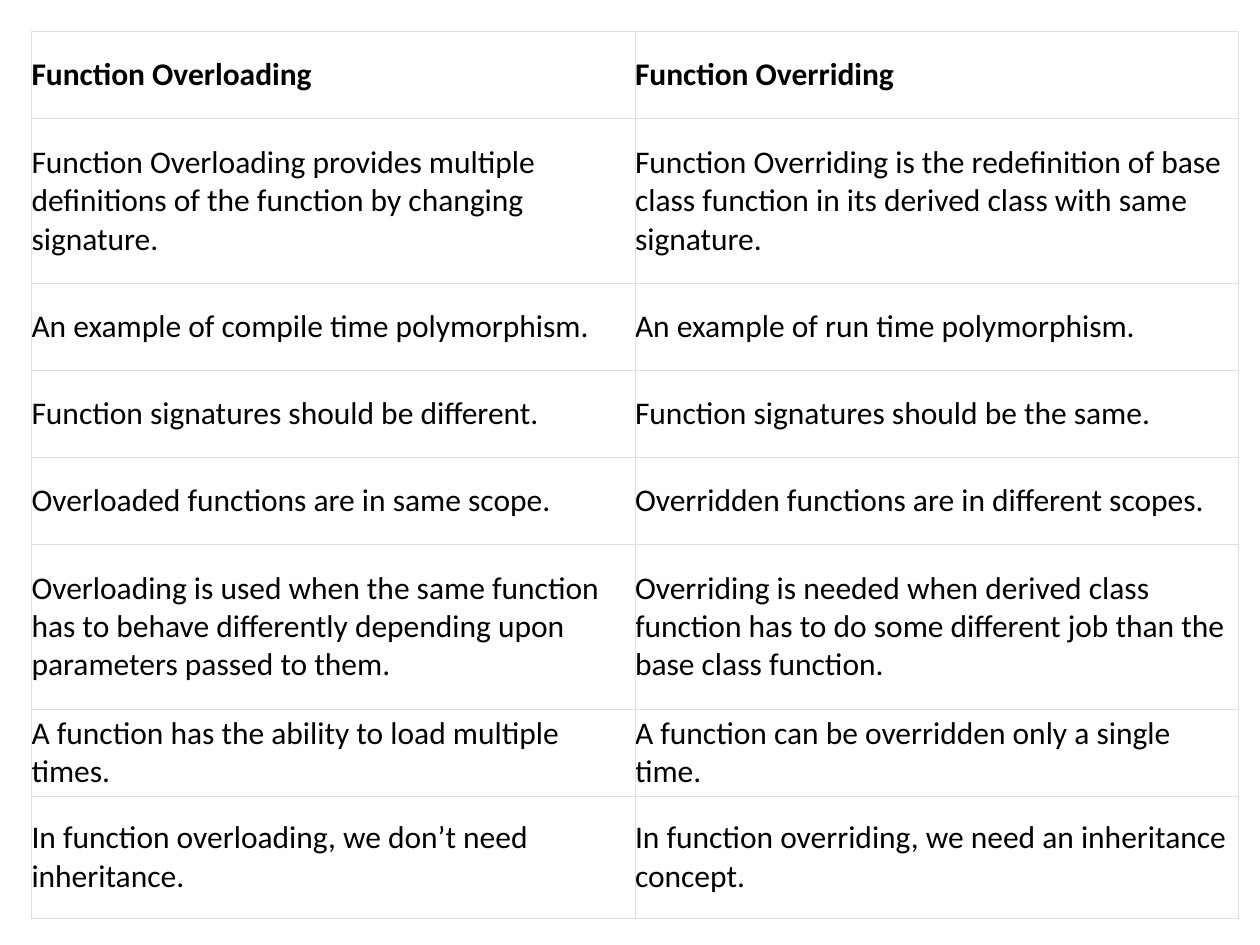
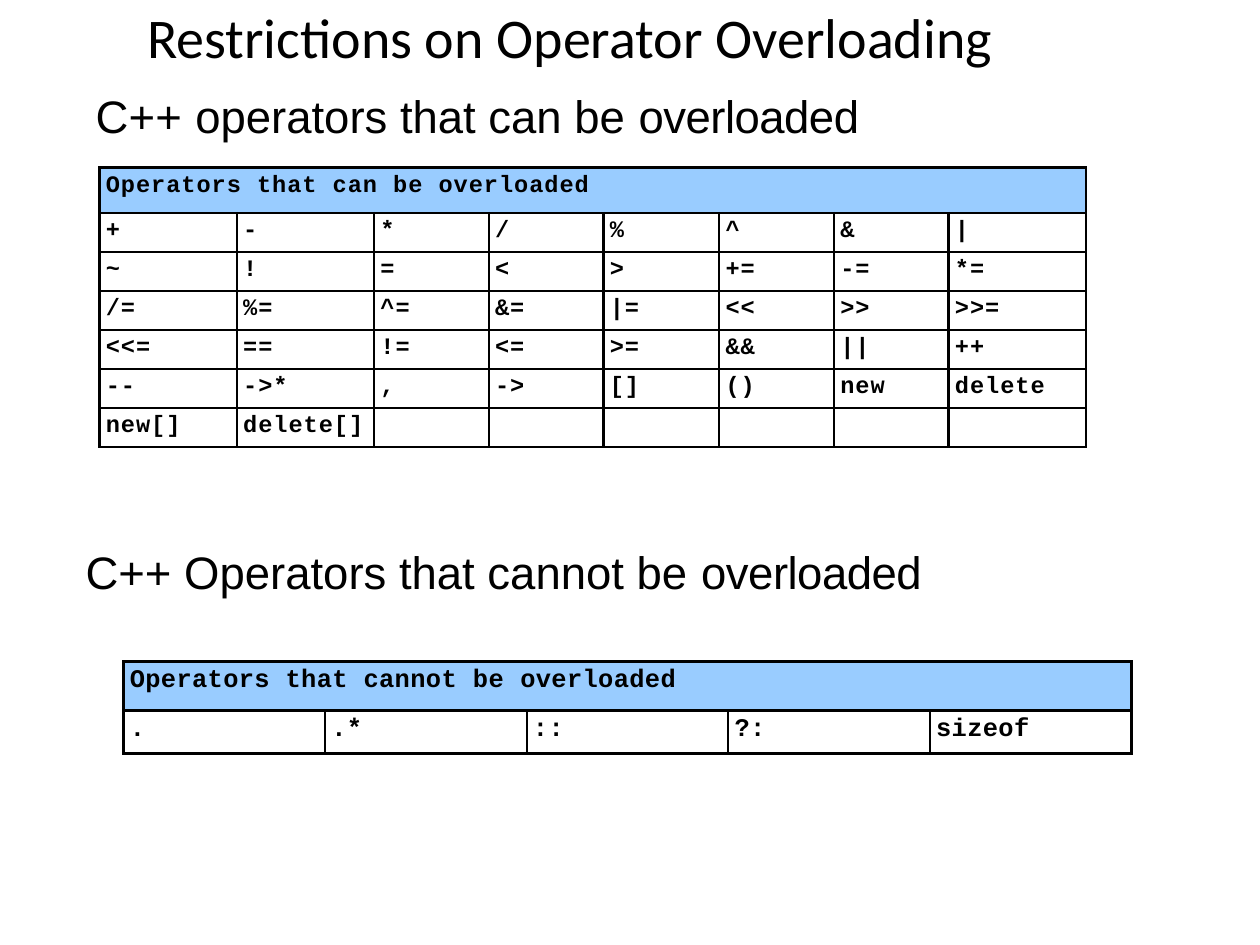
from dataclasses import dataclass
from typing import Any

from lxml.etree import SubElement
from pptx import Presentation
from pptx.dml.color import RGBColor
from pptx.enum.text import MSO_ANCHOR, MSO_AUTO_SIZE, PP_ALIGN
from pptx.oxml.ns import qn
from pptx.slide import Slide
from pptx.util import Emu, Pt

PX = 9144
BLACK = RGBColor(0x00, 0x00, 0x00)
WHITE = RGBColor(0xFF, 0xFF, 0xFF)
HEADER_BLUE = RGBColor(0x99, 0xCC, 0xFF)
GRID_GRAY = RGBColor(0xDF, 0xDF, 0xDF)


@dataclass(frozen=True)
class Run:
    text: str
    spacing: float = 0


@dataclass(frozen=True)
class Heading:
    runs: tuple[Run, ...]
    box: tuple[int, int, int, int]
    font: dict[str, Any]
    anchor: MSO_ANCHOR = MSO_ANCHOR.TOP
    align: PP_ALIGN = PP_ALIGN.LEFT


@dataclass(frozen=True)
class Grid:
    left: int
    top: int
    columns: tuple[int, ...]
    rows: tuple[int, ...]
    cells: list[list[tuple[Run, ...]]]
    font: dict[str, Any]
    bold_rows: int
    header_fill: RGBColor
    border_color: RGBColor
    border_width: float
    body_fill: RGBColor | None = None
    anchor: MSO_ANCHOR = MSO_ANCHOR.TOP
    inset_top: int = 0
    indent: int = 0
    merged_header: bool = False
    thin_edges: tuple[int, ...] = ()
    thin_width: float = 1


def px(length: int) -> Emu:
    return Emu(length * PX)


def set_attributes(target: Any, values: dict[str, Any]) -> None:
    for name, value in values.items():
        setattr(target, name, value)


def write_runs(paragraph: Any, runs: tuple[Run, ...], font: dict[str, Any], indent: int) -> None:
    paragraph._p.get_or_add_pPr().set("marL", str(px(indent)))
    for item in runs:
        run = paragraph.add_run()
        run.text = item.text
        set_attributes(run.font, font)
        run.font.color.rgb = BLACK
        run._r.get_or_add_rPr().set("spc", str(round(item.spacing * 100)))


def draw_heading(slide: Slide, heading: Heading) -> None:
    shape = slide.shapes.add_textbox(*map(px, heading.box))
    frame = shape.text_frame
    set_attributes(frame, {
        "word_wrap": True,
        "auto_size": MSO_AUTO_SIZE.SHAPE_TO_FIT_TEXT,
        "vertical_anchor": heading.anchor,
        "margin_left": 0,
        "margin_top": px(1),
        "margin_right": 0,
        "margin_bottom": 0,
    })
    paragraph = frame.paragraphs[0]
    paragraph.alignment = heading.align
    write_runs(paragraph, heading.runs, heading.font, 1)


def draw_borders(cell: Any, color: RGBColor, widths: dict[str, float]) -> None:
    properties = cell._tc.get_or_add_tcPr()
    for position, (side, width) in enumerate(widths.items()):
        line = SubElement(properties, qn(f"a:ln{side}"), w=str(Pt(width)))
        fill = SubElement(line, qn("a:solidFill"))
        SubElement(fill, qn("a:srgbClr"), val=str(color))
        properties.insert(position, line)


def draw_grid(slide: Slide, grid: Grid) -> None:
    shape = slide.shapes.add_table(
        len(grid.rows), len(grid.columns), px(grid.left), px(grid.top),
        px(sum(grid.columns)), px(sum(grid.rows)))
    table = shape.table
    set_attributes(table, {"first_row": False, "horz_banding": False})
    for column, width in zip(table.columns, grid.columns):
        column.width = px(width)
    for row, height in zip(table.rows, grid.rows):
        row.height = px(height)
    if grid.merged_header:
        table.cell(0, 0).merge(table.cell(0, len(grid.columns) - 1))

    def edge_width(edge: int) -> float:
        return grid.thin_width if edge in grid.thin_edges else grid.border_width

    for row_index in range(len(grid.rows)):
        fill_color = grid.body_fill if row_index else grid.header_fill
        contents = grid.cells[row_index]
        font = {**grid.font, "bold": row_index < grid.bold_rows}
        for column_index in range(len(grid.columns)):
            cell = table.cell(row_index, column_index)
            runs = contents[column_index] if column_index < len(contents) else ()
            set_attributes(cell, {
                "margin_left": 0,
                "margin_top": px(grid.inset_top if runs else 0),
                "margin_right": 0,
                "margin_bottom": 0,
                "vertical_anchor": grid.anchor,
            })
            if fill_color is None:
                cell.fill.background()
            else:
                cell.fill.solid()
                cell.fill.fore_color.rgb = fill_color
            draw_borders(cell, grid.border_color, {
                "L": grid.border_width,
                "R": grid.border_width,
                "T": edge_width(row_index),
                "B": edge_width(row_index + 1),
            })
            paragraph = cell.text_frame.paragraphs[0]
            if runs:
                write_runs(paragraph, runs, font, grid.indent)
            else:
                size = str(round(grid.font["size"].pt * 100))
                SubElement(paragraph._p, qn("a:endParaRPr"), sz=size)


def operator_rows(lines: list[str], spacing: float) -> list[list[tuple[Run, ...]]]:
    return [[(Run(symbol, spacing if len(symbol) > 1 else 0),) for symbol in line.split()]
            for line in lines]


COMPARISON = [
    ("Function Overloading", "Function Overriding"),
    ("Function Overloading provides multiple definitions of the function by changing signature.",
     "Function Overriding is the redefinition of base class function in its derived class with same signature."),
    ("An example of compile time polymorphism.", "An example of run time polymorphism."),
    ("Function signatures should be different.", "Function signatures should be the same."),
    ("Overloaded functions are in same scope.", "Overridden functions are in different scopes."),
    ("Overloading is used when the same function has to behave differently depending upon parameters passed to them.",
     "Overriding is needed when derived class function has to do some different job than the base class function."),
    ("A function has the ability to load multiple times.",
     "A function can be overridden only a single time."),
    ("In function overloading, we don’t need inheritance.",
     "In function overriding, we need an inheritance concept."),
]

COMPARISON_GRID = Grid(
    left=25, top=25, columns=(479,) * 2, rows=(69, 131, 69, 69, 69, 131, 69, 97),
    cells=[[(Run(text),) for text in pair] for pair in COMPARISON],
    font={"name": "Calibri", "size": Pt(18)}, bold_rows=1,
    header_fill=WHITE, body_fill=WHITE, border_color=GRID_GRAY, border_width=0.18,
    anchor=MSO_ANCHOR.MIDDLE)

OPERATOR_STYLE = {
    "header_fill": HEADER_BLUE,
    "border_color": BLACK,
    "border_width": 1.5,
    "inset_top": 4,
    "indent": 5,
    "merged_header": True,
}

FORBIDDEN_GRID = Grid(
    left=98, top=525, columns=(160,) * 5, rows=(39, 34),
    cells=[[(Run("Operators that cannot ", 0.2), Run("be ", 0.3), Run("overloaded", 0.2))],
           *operator_rows([". .* :: ?: sizeof"], 0.2)],
    font={"name": "Courier New", "size": Pt(14.5)}, bold_rows=2, **OPERATOR_STYLE)

ALLOWED_GRID = Grid(
    left=79, top=133, columns=(109, 109, 91, 91, 92, 91, 91, 109), rows=(36, *(31,) * 6),
    cells=[[(Run("Operators that can be overloaded", 0.6),)],
           *operator_rows([
               "+ - * / % ^ & |",
               "~ ! = < > += -= *=",
               "/= %= ^= &= |= << >> >>=",
               "<<= == != <= >= && || ++",
               "-- ->* , -> [] () new delete",
               "new[] delete[]",
           ], 0.6)],
    font={"name": "Courier New", "size": Pt(13.5)}, bold_rows=7, thin_edges=(5, 6),
    **OPERATOR_STYLE)

SECTION_FONT = {"name": "Arial", "size": Pt(26)}

HEADINGS = [
    Heading((Run("Restrictions on Operator Overloading"),), (84, 0, 736, 56),
            {"name": "Calibri", "size": Pt(32)}, MSO_ANCHOR.MIDDLE, PP_ALIGN.CENTER),
    Heading((Run("C++ ", 0.1), Run("operators that can be "), Run("overloaded", -0.3)),
            (75, 69, 643, 45), SECTION_FONT),
    Heading((Run("C++ Operators that cannot be "), Run("overloaded", -0.3)),
            (67, 431, 700, 46), SECTION_FONT),
]


def main() -> None:
    presentation = Presentation()
    set_attributes(presentation, {"slide_width": px(1000), "slide_height": px(750)})
    blank = presentation.slide_layouts[6]

    comparison_slide = presentation.slides.add_slide(blank)
    draw_grid(comparison_slide, COMPARISON_GRID)

    restrictions_slide = presentation.slides.add_slide(blank)
    for heading in HEADINGS:
        draw_heading(restrictions_slide, heading)
    for grid in (FORBIDDEN_GRID, ALLOWED_GRID):
        draw_grid(restrictions_slide, grid)

    presentation.save("out.pptx")


if __name__ == "__main__":
    main()
